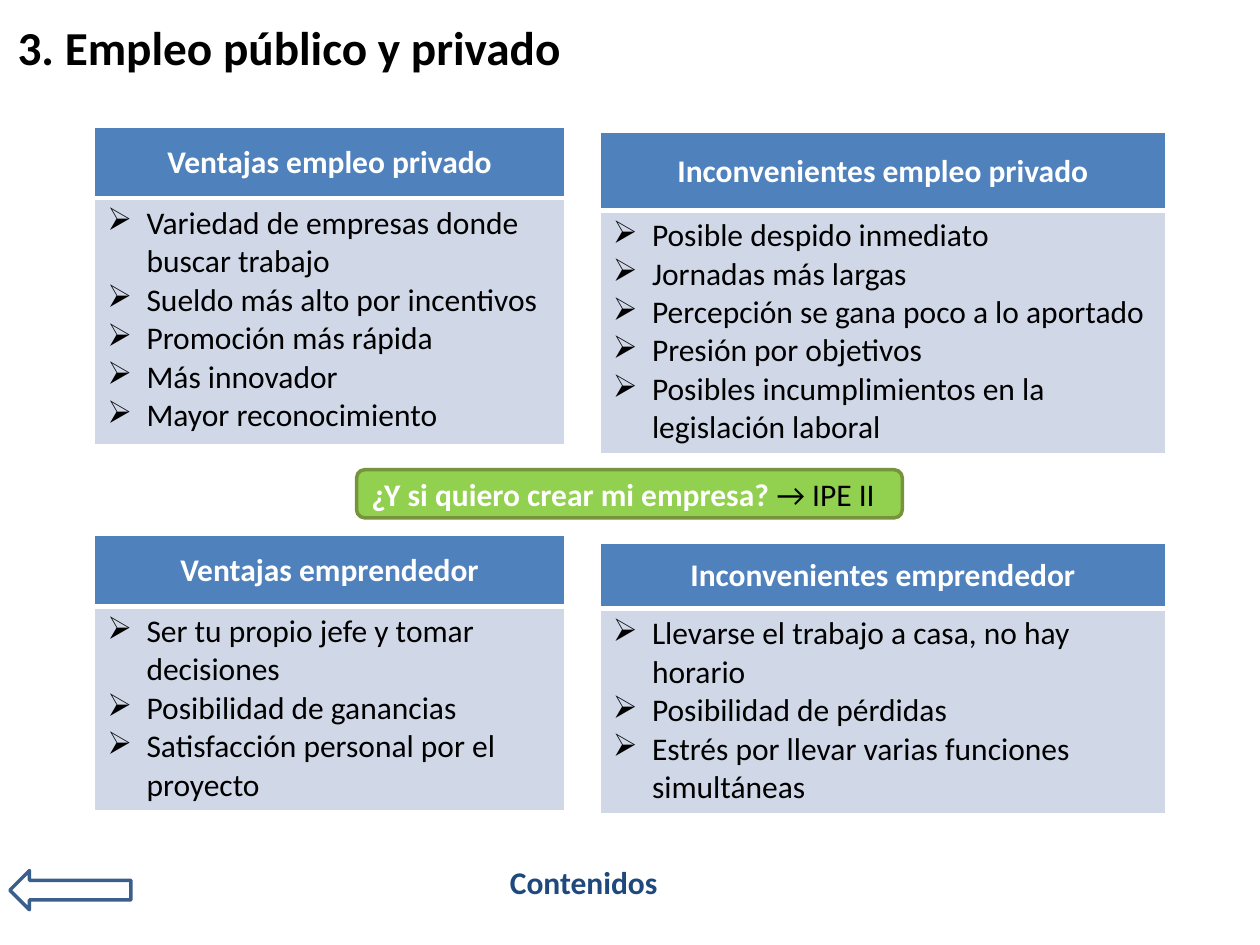
import pptx
import pptx.dml.color
import pptx.enum.shapes
import pptx.enum.text
import pptx.oxml
import pptx.oxml.ns
import pptx.util
from pptx.util import Cm

SHAPES = pptx.enum.shapes.MSO_SHAPE
ALIGN = pptx.enum.text.PP_ALIGN
ANCHOR = pptx.enum.text.MSO_ANCHOR
WHITE, BLACK, NAVY = "FFFFFF", "000000", "1F497D"
HEADER_BLUE, PALE_BLUE = "4F81BD", "D0D8E8"
NS = pptx.oxml.ns.nsdecls("a")


def color(hex_value):
    return pptx.dml.color.RGBColor.from_string(hex_value)


def add_run(paragraph, text, ink, size=18, bold=True):
    run = paragraph.add_run()
    run.text = text
    formats = {"name": "Calibri", "size": pptx.util.Pt(size), "bold": bold}
    for key, value in formats.items():
        setattr(run.font, key, value)
    run.font.color.rgb = color(ink)


def set_borders(cell, widths):
    """Draw white borders; widths maps a side (L, R, T, B) to points."""
    for side, points in widths.items():
        cell._tc.get_or_add_tcPr().append(pptx.oxml.parse_xml(
            f'<a:ln{side} {NS} w="{pptx.util.Pt(points)}"><a:solidFill>'
            f'<a:srgbClr val="{WHITE}"/></a:solidFill></a:ln{side}>'))


def fill_cell(cell, hex_value):
    cell.fill.solid()
    cell.fill.fore_color.rgb = color(hex_value)


def make_bullet(paragraph):
    properties = paragraph._p.get_or_add_pPr()
    indent = Cm(0.79)
    properties.set("marL", str(indent))
    properties.set("indent", str(-indent))
    properties.append(pptx.oxml.parse_xml(f'<a:buChar {NS} char="➢"/>'))


def add_title(slide, box, text):
    title = slide.shapes.title
    for key, value in zip(("left", "top", "width", "height"), box):
        setattr(title, key, value)
    title.text_frame.vertical_anchor = ANCHOR.MIDDLE
    paragraph = title.text_frame.paragraphs[0]
    paragraph.alignment = ALIGN.LEFT
    add_run(paragraph, text, BLACK, 27)


def add_card(slide, box, header_height, heading, points):
    """A heading cell over a cell with a bulleted list."""
    left, top, width, height = box
    table = slide.shapes.add_table(2, 1, left, top, width, height).table
    table.horz_banding = False
    table.rows[0].height = header_height
    table.rows[1].height = height - header_height
    header, body = table.cell(0, 0), table.cell(1, 0)

    set_borders(header, {"L": 1, "R": 1, "T": 1, "B": 3})
    fill_cell(header, HEADER_BLUE)
    header.vertical_anchor = ANCHOR.MIDDLE
    header.text_frame.paragraphs[0].alignment = ALIGN.CENTER
    add_run(header.text_frame.paragraphs[0], heading, WHITE)

    set_borders(body, {"L": 1, "R": 1, "T": 3, "B": 1})
    fill_cell(body, PALE_BLUE)
    for index, point in enumerate(points):
        frame = body.text_frame
        paragraph = frame.add_paragraph() if index else frame.paragraphs[0]
        make_bullet(paragraph)
        add_run(paragraph, point, BLACK, bold=False)


def add_outlined_shape(slide, preset, box, line_color):
    shape = slide.shapes.add_shape(preset, *box)
    shape.shadow.inherit = False
    shape.line.color.rgb = color(line_color)
    shape.line.width = pptx.util.Pt(2)
    shape.fill.background()
    return shape


def add_question(slide, box):
    banner = add_outlined_shape(slide, SHAPES.ROUNDED_RECTANGLE, box, "77933C")
    banner.fill.solid()
    banner.fill.fore_color.rgb = color("92D050")
    banner.text_frame.vertical_anchor = ANCHOR.MIDDLE
    paragraph = banner.text_frame.paragraphs[0]
    paragraph.alignment = ALIGN.LEFT
    add_run(paragraph, "¿Y si quiero crear mi empresa? ", WHITE)
    add_run(paragraph, "→ IPE II", BLACK, bold=False)


def add_footer(slide, box):
    left, top, width, height = box
    add_outlined_shape(slide, SHAPES.LEFT_ARROW,
                       (left, top + Cm(0.28), Cm(2.44), Cm(0.79)), "3A5F8C")

    contents = slide.shapes.add_textbox(left + Cm(9.83), top, Cm(3.66), height)
    contents.text_frame.word_wrap = True
    add_run(contents.text_frame.paragraphs[0], "Contenidos", NAVY)


def main():
    deck = pptx.Presentation()
    deck.slide_width, deck.slide_height = Cm(25.4), Cm(19.05)
    slide = deck.slides.add_slide(deck.slide_layouts[5])

    add_title(slide, (Cm(0.1), Cm(0.13), Cm(22.86), Cm(1.6)),
              "3. Empleo público y privado")

    # Two columns: advantages on the left, drawbacks on the right
    advantages, drawbacks = (1.91, 9.47), (12.1, 11.4)
    cards = [
        (advantages, 2.57, 6.4, 1.42, "Ventajas empleo privado",
         ["Variedad de empresas donde buscar trabajo",
          "Sueldo más alto por incentivos", "Promoción más rápida",
          "Más innovador", "Mayor reconocimiento"]),
        (drawbacks, 2.67, 6.32, 1.57, "Inconvenientes empleo privado",
         ["Posible despido inmediato", "Jornadas más largas",
          "Percepción se gana poco a lo aportado", "Presión por objetivos",
          "Posibles incumplimientos en la legislación laboral"]),
        (advantages, 10.8, 5.43, 1.42, "Ventajas emprendedor",
         ["Ser tu propio jefe y tomar decisiones", "Posibilidad de ganancias",
          "Satisfacción personal por el proyecto"]),
        (drawbacks, 10.95, 5.31, 1.32, "Inconvenientes emprendedor",
         ["Llevarse el trabajo a casa, no hay horario",
          "Posibilidad de pérdidas",
          "Estrés por llevar varias funciones simultáneas"]),
    ]
    for (left, width), top, height, header_height, heading, points in cards:
        add_card(slide, (Cm(left), Cm(top), Cm(width), Cm(height)),
                 Cm(header_height), heading, points)

    # Banner between the two rows of cards, then the navigation
    add_question(slide, (Cm(7.19), Cm(9.47), Cm(11), Cm(0.97)))
    add_footer(slide, (Cm(0.2), Cm(17.27), Cm(25), Cm(1.02)))

    deck.save("out.pptx")


if __name__ == "__main__":
    main()
